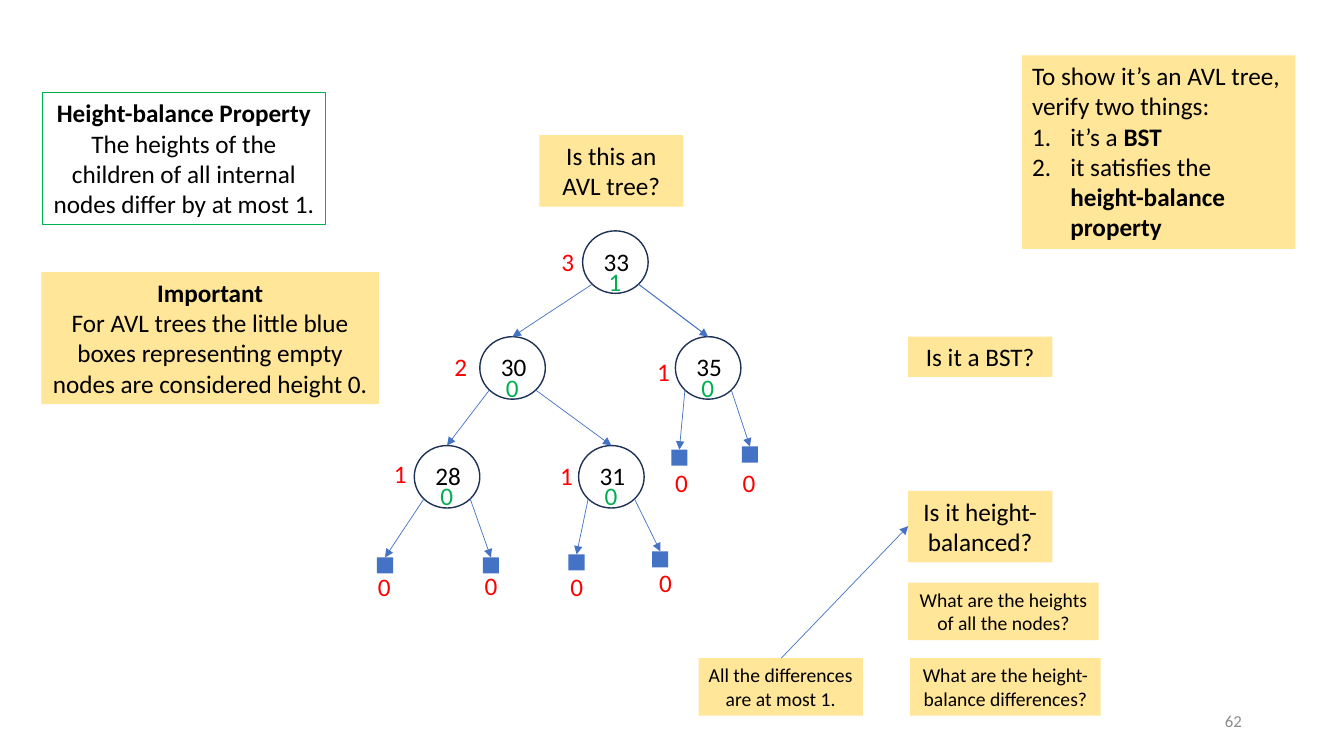
from dataclasses import dataclass

from lxml import etree
from pptx import Presentation, util as u
from pptx.dml.color import RGBColor
from pptx.enum import shapes, text
from pptx.oxml import ns

# Grid: 133.33 columns by 75 rows, each cell a tenth of an inch
CELL = u.Inches(0.1)
COLUMNS, ROWS = 133.33, 75

BLACK = RGBColor(0x00, 0x00, 0x00)
GREY = RGBColor(0x8C, 0x8C, 0x8C)
RED = RGBColor(0xFF, 0x00, 0x00)
GREEN = RGBColor(0x00, 0xB0, 0x50)
BLUE = RGBColor(0x44, 0x72, 0xC4)
NAVY = RGBColor(0x1E, 0x32, 0x56)
YELLOW = RGBColor(0xFF, 0xE6, 0x99)

CENTER, LEFT, RIGHT = text.PP_ALIGN.CENTER, text.PP_ALIGN.LEFT, text.PP_ALIGN.RIGHT
BREAK = ("\n", False)

# Tree: name -> column, row, height, balance, offset of the height label
NODES = {
    "33": (21.3, 0, "3", "1", (-3.1, 1)),
    "30": (11.1, 10.5, "2", "0", (-3.5, 1)),
    "35": (30.5, 10.5, "1", "0", (-2.8, 1.5)),
    "28": (4.6, 21.3, "1", "0", (-3, 0.8)),
    "31": (20.9, 21.3, "1", "0", (-2.8, 1)),
}
NODE_W, NODE_H = 6.5, 6.2
# Parent, left child, right child, line width
BRANCHES = [("33", "30", 0.5, 0), ("33", "35", 0.75, 1),
            ("30", "28", 0.5, 0), ("30", "31", 0.5, 1)]
# Empty nodes: parent, side, column, row, offset of the height label
EMPTIES = [
    ("28", 0, 0.9, 32.4, (-0.9, 0.9)), ("28", 1, 11.4, 32.4, (-0.8, 0.8)),
    ("31", 0, 19.9, 32.1, (-0.8, 1.2)), ("31", 1, 28.2, 31.8, (-0.3, 1.1)),
    ("35", 0, 30.1, 21.7, (-0.6, 1.3)), ("35", 1, 37.1, 21.4, (-0.9, 1.6)),
]
EMPTY_SIZE = 1.6
EXITS = [(0.95, 5.3), (5.55, 5.3)]  # where arrows leave a node, left and right


@dataclass
class Box:
    left: float
    top: float

    def point(self, column, row):
        return round((self.left + column) * CELL), round((self.top + row) * CELL)

    def area(self, column, row, width, height):
        return *self.point(column, row), round(width * CELL), round(height * CELL)


def apply(target, values):
    for name, value in values.items():
        setattr(target, name, value)


def add_text(page, area, paras, size=18, color=BLACK, align=CENTER,
             fill=None, line=None, wrap=True, anchor=text.MSO_ANCHOR.TOP):
    """Each para is a list of (words, bold) spans."""
    box = page.shapes.add_textbox(*area)
    if fill is not None:
        box.fill.solid()
        box.fill.fore_color.rgb = fill
    if line is not None:
        box.line.color.rgb = line
        box.line.width = u.Pt(0.75)
    frame = box.text_frame
    apply(frame, {"word_wrap": wrap, "vertical_anchor": anchor,
                  "auto_size": text.MSO_AUTO_SIZE.SHAPE_TO_FIT_TEXT})
    for index, spans in enumerate(paras):
        para = frame.add_paragraph() if index else frame.paragraphs[0]
        para.alignment = align
        for words, bold in spans:
            if words == "\n":
                para.add_line_break()
                continue
            span = para.add_run()
            span.text = words
            apply(span.font, {"name": "Calibri", "size": u.Pt(size), "bold": bold})
            span.font.color.rgb = color
    return frame


def add_card(page, area, words, size=18):
    add_text(page, area, [[(words, False)]], size, fill=YELLOW)


def add_label(page, box, column, row, words, color):
    add_text(page, box.area(column, row, 3.3, 4), [[(words, False)]],
             color=color, align=LEFT, wrap=False)


def add_arrow(page, start, end, width=0.5):
    arrow = page.shapes.add_connector(shapes.MSO_CONNECTOR.STRAIGHT, *start, *end)
    arrow.line.color.rgb = BLUE
    arrow.line.width = u.Pt(width)
    etree.SubElement(arrow.line._get_or_add_ln(), ns.qn("a:tailEnd"), type="triangle")
    etree.SubElement(arrow._element.spPr, ns.qn("a:effectLst"))


def add_definitions(page, box):
    add_text(page, box.area(0.1, 0, 28.1, 13.1), [[
        ("Height-balance Property", True), BREAK,
        ("The heights of the children of all internal nodes differ by at most 1.", False),
    ]], line=GREEN)
    add_text(page, box.area(0, 17.8, 33.5, 13.1), [[
        ("Important", True), BREAK,
        ("For AVL trees the little blue boxes representing empty nodes "
         "are considered height 0.", False),
    ]], fill=YELLOW)


def add_tree(page, box):
    def leave(parent, side):
        column, row = NODES[parent][:2]
        return box.point(column + EXITS[side][0], row + EXITS[side][1])

    # Internal nodes with height (red) and balance (green)
    for name, (column, row, height, balance, (right, down)) in NODES.items():
        add_text(page, box.area(column - 1.7, row + 1, 10.1, 4), [[(name, False)]])
        circle = page.shapes.add_shape(shapes.MSO_SHAPE.OVAL,
                                       *box.area(column, row, NODE_W, NODE_H))
        circle.shadow.inherit = False
        circle.fill.background()
        circle.line.color.rgb = NAVY
        circle.line.width = u.Pt(1)
        add_label(page, box, column + right, row + down, height, RED)
        add_label(page, box, column + 1.6, row + 3, balance, GREEN)

    # Branches between nodes
    for parent, child, width, side in BRANCHES:
        column, row = NODES[child][:2]
        add_arrow(page, leave(parent, side), box.point(column + NODE_W / 2, row), width)

    # Empty nodes
    for parent, side, column, row, (right, down) in EMPTIES:
        square = page.shapes.add_shape(shapes.MSO_SHAPE.RECTANGLE,
                                       *box.area(column, row, EMPTY_SIZE, EMPTY_SIZE))
        square.shadow.inherit = False
        square.fill.solid()
        square.fill.fore_color.rgb = BLUE
        square.line.fill.background()
        add_arrow(page, leave(parent, side), box.point(column + EMPTY_SIZE / 2, row))
        add_label(page, box, column + right, row + down, "0", RED)


def add_checklist(page, box):
    frame = add_text(page, box.area(0, 0, 27.1, 19.2), [
        [("To show it’s an AVL tree, verify two things:", False)],
        [("it’s a ", False), ("BST", True)],
        [("it satisfies the ", False), ("height-balance property", True)],
    ], align=LEFT, fill=YELLOW)
    for para in frame.paragraphs[1:]:
        props = para._p.get_or_add_pPr()
        props.set("marL", str(u.Inches(0.38)))
        props.set("indent", str(-u.Inches(0.38)))
        etree.SubElement(props, ns.qn("a:buFont"), typeface="+mj-lt")
        etree.SubElement(props, ns.qn("a:buAutoNum"), type="arabicPeriod")


def add_questions(page, box):
    add_card(page, box.area(20.8, 0, 14.3, 4), "Is it a BST?")
    add_card(page, box.area(20.8, 15.3, 14.3, 7.1), "Is it height-balanced?")
    for column, row, width, words in [
        (20.8, 24.4, 18.9, "What are the heights of all the nodes?"),
        (21, 31.9, 18.9, "What are the height-balance differences?"),
        (0, 31.9, 16.3, "All the differences are at most 1."),
    ]:
        add_card(page, box.area(column, row, width, 5.7), words, 14)
    add_arrow(page, box.point(8.2, 31.9), box.point(20.8, 18.8))


def main():
    deck = Presentation()
    deck.slide_width, deck.slide_height = round(COLUMNS * CELL), ROWS * CELL
    page = deck.slides.add_slide(deck.slide_layouts[6])
    add_card(page, Box(53.5, 13.4).area(0, 0, 14.3, 7.1), "Is this an AVL tree?")
    add_definitions(page, Box(4.1, 9.2))
    add_tree(page, Box(36.5, 22.9))
    add_checklist(page, Box(101.4, 5.5))
    add_questions(page, Box(69.3, 33.4))
    # Page number
    add_text(page, Box(94.2, 69.5).area(0, 0, 30, 4), [[("62", False)]], 12, GREY,
             RIGHT, anchor=text.MSO_ANCHOR.MIDDLE).auto_size = text.MSO_AUTO_SIZE.NONE
    deck.save("out.pptx")


if __name__ == "__main__":
    main()
